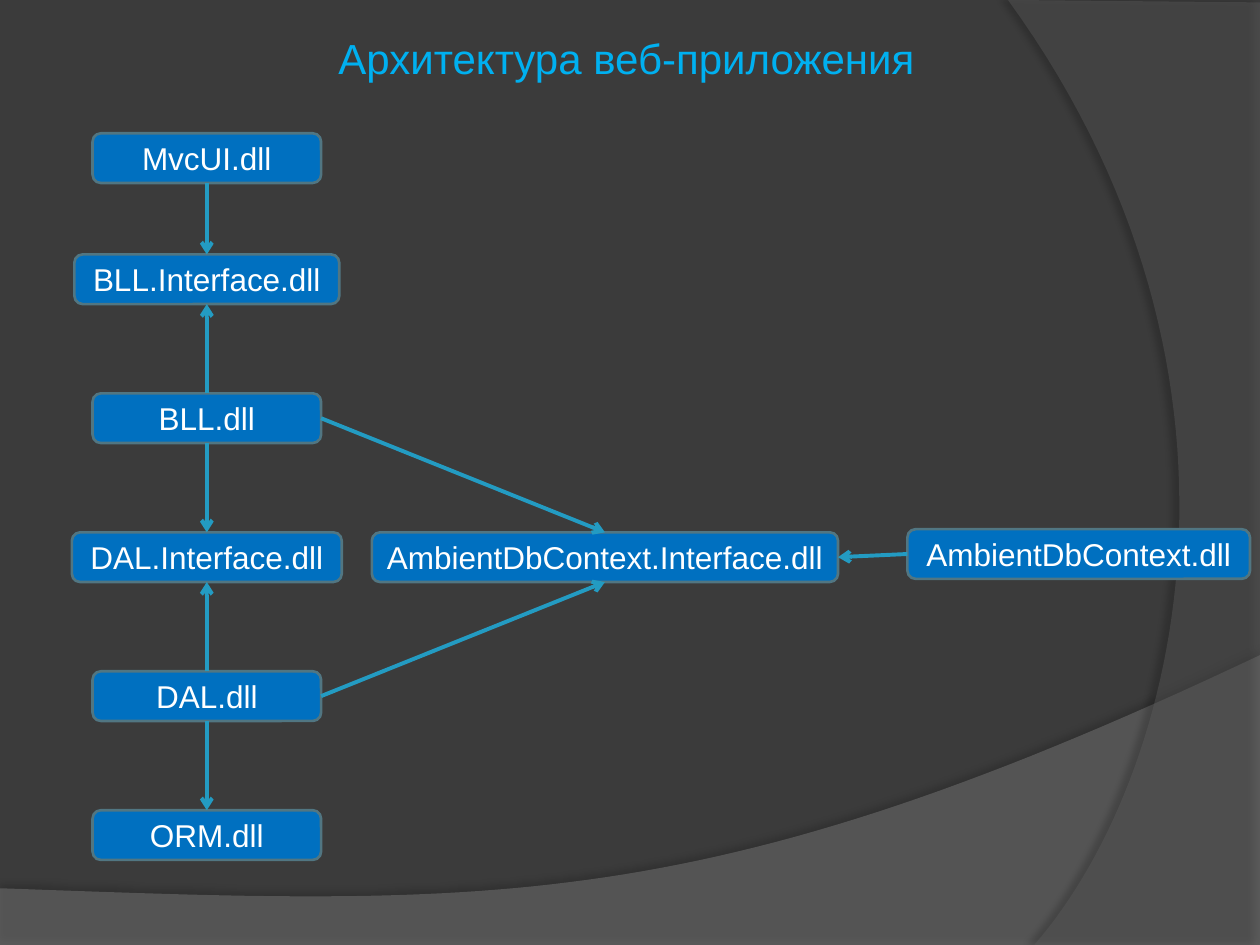
from lxml import etree
from pptx import Presentation
from pptx.dml.color import RGBColor
from pptx.enum.shapes import MSO_CONNECTOR, MSO_SHAPE
from pptx.enum.text import MSO_ANCHOR, MSO_AUTO_SIZE, PP_ALIGN
from pptx.oxml import parse_xml
from pptx.oxml.ns import qn
from pptx.util import Pt

STRAIGHT = MSO_CONNECTOR.STRAIGHT
ROUNDED = MSO_SHAPE.ROUNDED_RECTANGLE
MIDDLE = MSO_ANCHOR.MIDDLE
GROW = MSO_AUTO_SIZE.SHAPE_TO_FIT_TEXT
CENTER = PP_ALIGN.CENTER
TOP, LEFT, BOTTOM, RIGHT = range(4)

WIDTH, HEIGHT = 720, 540
BOX_HEIGHT = 28.4
COLUMN_CENTER = 118.2
LAYERS_TOP, LAYER_PITCH = 145.4, 79.4
NAMESPACE = "http://schemas.openxmlformats.org/drawingml/2006/main"

LAYERS = [
    ("BLL.Interface.dll", 151.4),
    ("BLL.dll", 130.6),
    ("DAL.Interface.dll", 154.2),
    ("DAL.dll", 130.6),
    ("ORM.dll", 130.6),
]
DEPENDENCIES = [
    ("MvcUI.dll", BOTTOM, "BLL.Interface.dll", TOP),
    ("BLL.dll", TOP, "BLL.Interface.dll", BOTTOM),
    ("BLL.dll", BOTTOM, "DAL.Interface.dll", TOP),
    ("DAL.dll", TOP, "DAL.Interface.dll", BOTTOM),
    ("DAL.dll", BOTTOM, "ORM.dll", TOP),
    ("BLL.dll", RIGHT, "AmbientDbContext.Interface.dll", TOP),
    ("DAL.dll", RIGHT, "AmbientDbContext.Interface.dll", BOTTOM),
    ("AmbientDbContext.dll", LEFT, "AmbientDbContext.Interface.dll", RIGHT),
]


def color(value):
    return RGBColor.from_string(value)


def format_text(shape, text, size, text_color):
    frame = shape.text_frame
    frame.text = text
    frame.vertical_anchor = MIDDLE
    paragraph = frame.paragraphs[0]
    paragraph.alignment = CENTER
    font = paragraph.runs[0].font
    font.name = "Arial"
    font.size = Pt(size)
    font.color.rgb = color(text_color)


def curve(start, first_control, second_control, end, steps=60):
    points = []
    for step in range(steps + 1):
        t = step / steps
        weights = ((1 - t) ** 3, 3 * t * (1 - t) ** 2, 3 * t * t * (1 - t), t ** 3)
        controls = (start, first_control, second_control, end)
        points.append(tuple(
            sum(weight * control[axis] for weight, control in zip(weights, controls))
            for axis in (0, 1)
        ))
    return points


def add_wave(slide, points, fill_color, opacity, shadow_opacity, distance, angle):
    vertices = [(Pt(x), Pt(y)) for x, y in points]
    builder = slide.shapes.build_freeform(*vertices[0])
    builder.add_line_segments(vertices[1:], close=True)
    shape = builder.convert_to_shape()
    shape.fill.solid()
    shape.fill.fore_color.rgb = color(fill_color)
    shape.line.fill.background()
    fill = shape.fill._xPr.find(qn("a:solidFill"))
    etree.SubElement(fill[0], qn("a:alpha"), val=str(opacity * 1000))
    shape._element.spPr.append(parse_xml(
        f'<a:effectLst xmlns:a="{NAMESPACE}">'
        f'<a:outerShdw blurRad="{Pt(4)}" dist="{Pt(distance)}" dir="{angle * 60000}"'
        f' algn="ctr" rotWithShape="0"><a:srgbClr val="000000">'
        f'<a:alpha val="{shadow_opacity * 1000}"/></a:srgbClr></a:outerShdw></a:effectLst>'
    ))


def add_title(slide, text):
    title = slide.shapes.title
    title.left, title.top, title.width, title.height = Pt(185), Pt(15.1), Pt(346), Pt(36)
    format_text(title, text, 24, "00B0F0")
    title.text_frame.word_wrap = False
    title.text_frame.auto_size = GROW


def add_box(slide, text, center, top, width):
    box = slide.shapes.add_shape(
        ROUNDED, Pt(center - width / 2), Pt(top), Pt(width), Pt(BOX_HEIGHT))
    box.shadow.inherit = False
    box.fill.solid()
    box.fill.fore_color.rgb = color("0070C0")
    box.line.color.rgb = color("517682")
    box.line.width = Pt(1.5)
    format_text(box, text, 18, "FFFFFF")
    return box


def add_arrow(slide, source, source_side, target, target_side):
    arrow = slide.shapes.add_connector(STRAIGHT, 0, 0, 0, 0)
    arrow.begin_connect(source, source_side)
    arrow.end_connect(target, target_side)
    arrow.line.color.rgb = color("239BC2")
    arrow.line.width = Pt(2.25)
    etree.SubElement(arrow.line._get_or_add_ln(), qn("a:tailEnd"), type="arrow")
    etree.SubElement(arrow._element.spPr, qn("a:effectLst"))


def main():
    presentation = Presentation()
    presentation.slide_width, presentation.slide_height = Pt(WIDTH), Pt(HEIGHT)
    slide = presentation.slides.add_slide(presentation.slide_layouts[5])
    slide.background.fill.solid()
    slide.background.fill.fore_color.rgb = color("3B3B3B")

    bottom_edge = curve((WIDTH, 374.4), (402.5, 524.9), (281.5, 517.7), (0, 507.6))
    add_wave(slide, [(0, HEIGHT), (WIDTH, HEIGHT)] + bottom_edge,
             "7F7F7F", 45, 35, 3.5, 270)
    right_edge = curve((591, HEIGHT), (673.2, 445.7), (733, 216), (576, 0))
    add_wave(slide, [(WIDTH, 1.4), (WIDTH, HEIGHT)] + right_edge,
             "5E5E5E", 40, 45, 4, 180)

    add_title(slide, "Архитектура веб-приложения")

    boxes = {"MvcUI.dll": add_box(slide, "MvcUI.dll", COLUMN_CENTER, 76.2, 130.6)}
    for index, (name, width) in enumerate(LAYERS):
        top = LAYERS_TOP + index * LAYER_PITCH
        boxes[name] = add_box(slide, name, COLUMN_CENTER, top, width)
    for name, center, top, width in [
        ("AmbientDbContext.Interface.dll", 345.7, 304.2, 266.4),
        ("AmbientDbContext.dll", 616.4, 302.4, 195.8),
    ]:
        boxes[name] = add_box(slide, name, center, top, width)

    for source, source_side, target, target_side in DEPENDENCIES:
        add_arrow(slide, boxes[source], source_side, boxes[target], target_side)

    presentation.save("out.pptx")


if __name__ == "__main__":
    main()
